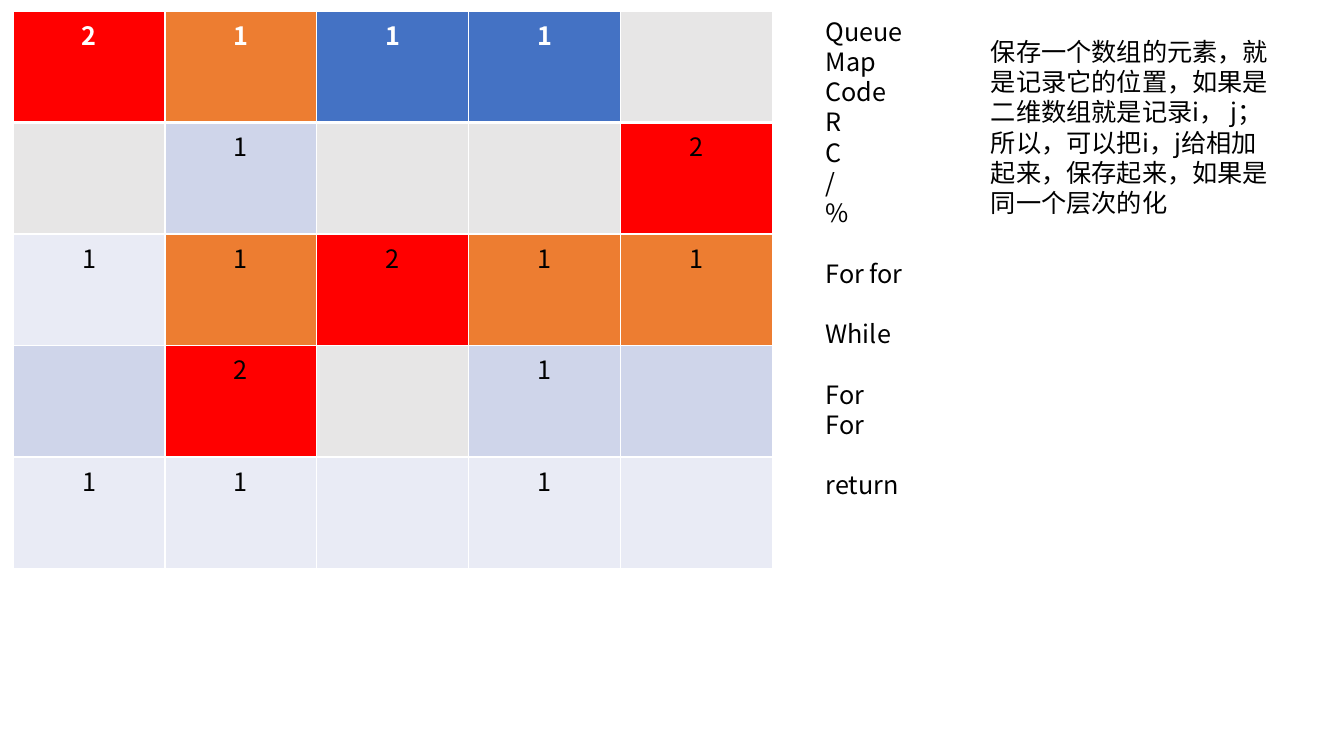
"""Build a slide with a grid of spreading states beside notes on its search."""
from typing import NamedTuple

from lxml.etree import SubElement
from pptx import Presentation
from pptx.dml.color import RGBColor
from pptx.enum.text import MSO_AUTO_SIZE, PP_ALIGN
from pptx.oxml import parse_xml
from pptx.oxml.ns import nsdecls, qn
from pptx.util import Inches, Pt

FONT = "Noto Sans CJK SC"
BLACK = RGBColor(0x00, 0x00, 0x00)
WHITE = RGBColor(0xFF, 0xFF, 0xFF)
RED = RGBColor(0xFF, 0x00, 0x00)
ORANGE = RGBColor(0xED, 0x7D, 0x31)
BLUE = RGBColor(0x44, 0x72, 0xC4)
GREY = RGBColor(0xE7, 0xE6, 0xE6)
DARK_BAND = RGBColor(0xCF, 0xD5, 0xEA)
LIGHT_BAND = RGBColor(0xE9, 0xEB, 0xF5)

STATE_FILLS = {"r": RED, "o": ORANGE, "g": GREY}
ROW_FILLS = [BLUE, DARK_BAND, LIGHT_BAND, DARK_BAND, LIGHT_BAND]
VALUES = ["2111 ", " 1  2", "11211", " 2 1 ", "11 1 "]
STATES = ["ro..g", "g.ggr", ".oroo", ".rg..", "....."]
SIZE = len(VALUES)
BLANK_LINE = Inches(0.3)


class Note(NamedTuple):
    """A text box: its place and its groups of lines."""

    left: float
    top: float
    width: float
    height: float
    groups: list[list[str]]


NOTES = [
    Note(8.09, 0.11, 1.53, 5.25, [
        ["Queue", "Map", "Code", "R", "C", "/", "%"],
        ["For for"], ["While"], ["For", "For"], ["return"],
    ]),
    Note(9.73, 0.31, 3.06, 1.92, [[
        "保存一个数组的元素，就是记录它的位置，如果是二维数组就是记录i， j；",
        "所以，可以把i，j给相加起来，保存起来，如果是同一个层次的化",
    ]]),
]


def style_paragraph(paragraph, color: RGBColor, bold: bool = False) -> None:
    """Set the shared font on a paragraph."""
    font = paragraph.font
    font.name, font.size, font.bold = FONT, Pt(18), bold
    font.color.rgb = color
    properties = paragraph._p.pPr.find(qn("a:defRPr"))
    SubElement(properties, qn("a:ea")).set("typeface", FONT)


def add_borders(cell, row: int) -> None:
    """Draw white borders, thicker below the header."""
    widths = {"L": 1, "R": 1, "T": 3 if row == 1 else 1, "B": 3 if row == 0 else 1}
    for index, (side, width) in enumerate(widths.items()):
        border = parse_xml(
            f'<a:ln{side} {nsdecls("a")} w="{Pt(width)}"><a:solidFill>'
            f'<a:srgbClr val="{WHITE}"/></a:solidFill></a:ln{side}>'
        )
        cell._tc.get_or_add_tcPr().insert(index, border)


def add_grid(slide) -> None:
    """Add the grid of values coloured by state."""
    frame = slide.shapes.add_table(
        SIZE, SIZE, Inches(0.13), Inches(0.11), Inches(7.53), Inches(5.53)
    )
    grid = frame.table
    grid.first_row = grid.horz_banding = False
    for row, (values, states) in enumerate(zip(VALUES, STATES)):
        for column, (value, state) in enumerate(zip(values, states)):
            cell = grid.cell(row, column)
            cell.text = value.strip()
            cell.fill.solid()
            cell.fill.fore_color.rgb = STATE_FILLS.get(state, ROW_FILLS[row])
            paragraph = cell.text_frame.paragraphs[0]
            paragraph.alignment = PP_ALIGN.CENTER
            style_paragraph(paragraph, WHITE if row == 0 else BLACK, row == 0)
            add_borders(cell, row)


def add_note(slide, note: Note) -> None:
    """Add a note with one line of space between its groups."""
    box = slide.shapes.add_textbox(*map(Inches, note[:4]))
    frame = box.text_frame
    frame.word_wrap = True
    frame.auto_size = MSO_AUTO_SIZE.SHAPE_TO_FIT_TEXT
    frame.text = "\n".join(line for group in note.groups for line in group)
    paragraphs = iter(frame.paragraphs)
    for group_index, group in enumerate(note.groups):
        for line_index in range(len(group)):
            paragraph = next(paragraphs)
            if group_index and line_index == 0:
                paragraph.space_before = BLANK_LINE
            style_paragraph(paragraph, BLACK)


def main() -> None:
    """Build and save the slide."""
    presentation = Presentation()
    presentation.slide_width = Inches(13.33)
    presentation.slide_height = Inches(7.5)
    slide = presentation.slides.add_slide(presentation.slide_layouts[6])
    add_grid(slide)
    for note in NOTES:
        add_note(slide, note)
    presentation.save("out.pptx")


main()
